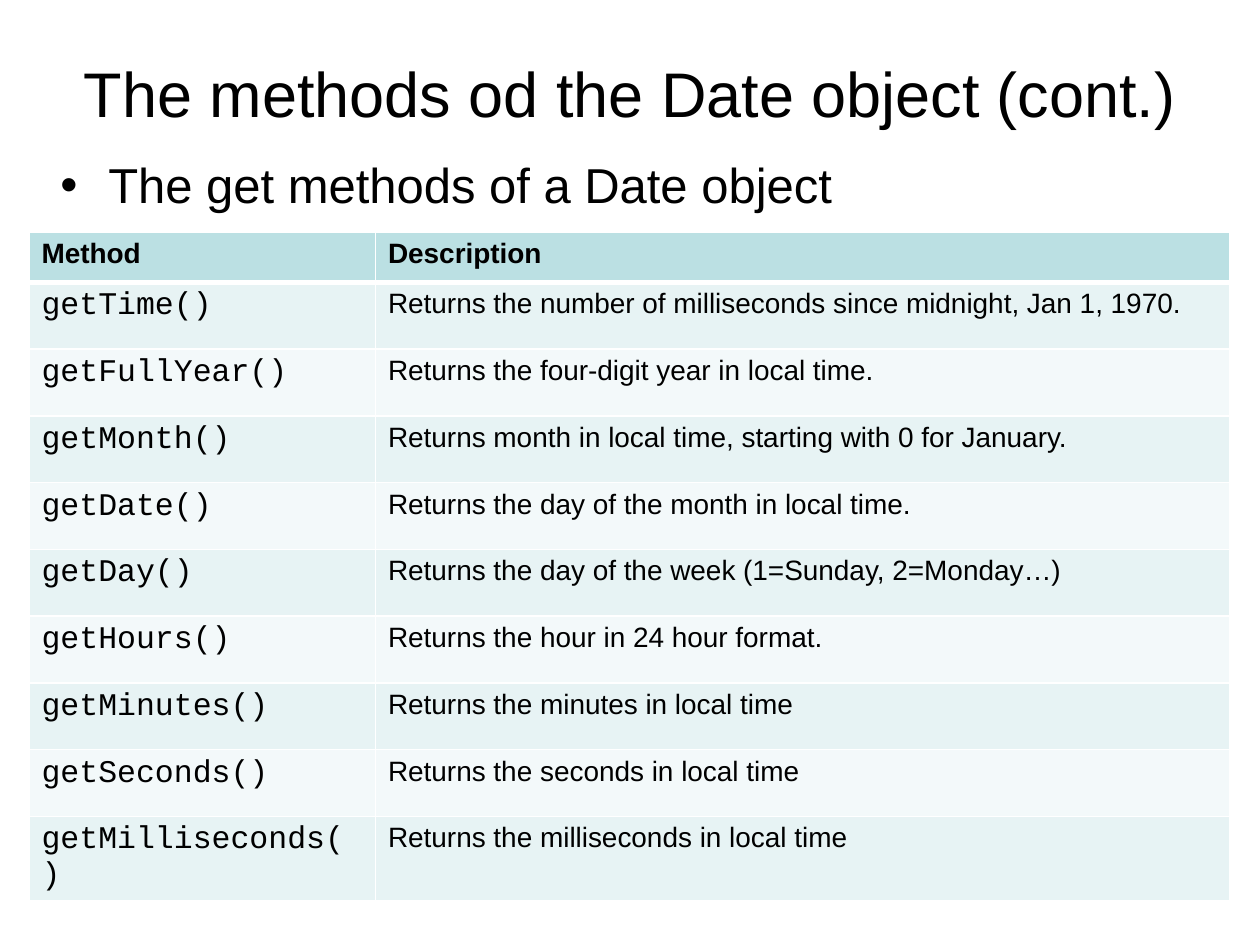
from dataclasses import dataclass

from lxml import etree
from pptx import Presentation
from pptx import util as u
from pptx.dml.color import RGBColor
from pptx.enum import text
from pptx.oxml import ns


@dataclass(frozen=True)
class Theme:
    """Colours, fonts and type sizes of the slide."""
    ink: str = "000000"
    line: str = "FFFFFF"
    head: str = "BBE0E3"
    bands: tuple = ("E7F3F4", "F3F9FA")
    sans: str = "Arial"
    mono: str = "Courier New"
    title: int = 36
    body: int = 28
    cell: int = 16
    code: int = 18


@dataclass(frozen=True)
class Method:
    """One row of the table."""
    name: str
    about: str


THEME = Theme()
METHODS = [
    Method("getTime()", "Returns the number of milliseconds since midnight, Jan 1, 1970."),
    Method("getFullYear()", "Returns the four-digit year in local time."),
    Method("getMonth()", "Returns month in local time, starting with 0 for January."),
    Method("getDate()", "Returns the day of the month in local time."),
    Method("getDay()", "Returns the day of the week (1=Sunday, 2=Monday…)"),
    Method("getHours()", "Returns the hour in 24 hour format."),
    Method("getMinutes()", "Returns the minutes in local time"),
    Method("getSeconds()", "Returns the seconds in local time"),
    Method("getMilliseconds()", "Returns the milliseconds in local time"),
]


def write(frame, words: str, size: int, face: str = THEME.sans, bold: bool = False):
    """Put one formatted run in a text frame and return its paragraph."""
    para = frame.paragraphs[0]
    run = para.add_run()
    run.text = words
    look = {"size": u.Pt(size), "name": face, "bold": bold}
    for key, value in look.items():
        setattr(run.font, key, value)
    run.font.color.rgb = RGBColor.from_string(THEME.ink)
    return para


def place(shape, left: float, top: float, width: float, height: float) -> None:
    """Move and size a shape in inches."""
    box = {"left": left, "top": top, "width": width, "height": height}
    for key, value in box.items():
        setattr(shape, key, u.Inches(value))


def setup(shape, anchor) -> None:
    """Fix wrapping, fitting and anchoring of a placeholder."""
    look = {"word_wrap": True, "auto_size": text.MSO_AUTO_SIZE.NONE,
            "vertical_anchor": anchor}
    for key, value in look.items():
        setattr(shape.text_frame, key, value)


def bullet(para, indent: float) -> None:
    """Give a paragraph a hanging round bullet and space before."""
    props = para._p.get_or_add_pPr()
    props.set("marL", str(u.Inches(indent)))
    props.set("indent", str(-u.Inches(indent)))
    space = etree.SubElement(props, ns.qn("a:spcBef"))
    etree.SubElement(space, ns.qn("a:spcPct"), val="20000")
    etree.SubElement(props, ns.qn("a:buFont"), typeface=THEME.sans)
    etree.SubElement(props, ns.qn("a:buChar"), char="•")


def border(cell, base: float) -> None:
    """Draw the four edges of a cell, with its own base width."""
    props = cell._tc.get_or_add_tcPr()
    widths = {"lnL": 1, "lnR": 1, "lnT": 1, "lnB": base}
    for side, width in widths.items():
        edge = etree.SubElement(props, ns.qn(f"a:{side}"), w=str(u.Pt(width)))
        fill = etree.SubElement(edge, ns.qn("a:solidFill"))
        etree.SubElement(fill, ns.qn("a:srgbClr"), val=THEME.line)


def paint(cell, color: str, base: float = 1) -> None:
    """Border and fill a cell."""
    border(cell, base)
    cell.fill.solid()
    cell.fill.fore_color.rgb = RGBColor.from_string(color)


def grid(slide) -> None:
    """Build the table of methods."""
    cols, head, step = (2.75, 6.78), 0.4, 0.53
    count = len(METHODS)
    box = (0.23, 1.84, sum(cols), head + count * step)
    table = slide.shapes.add_table(count + 1, 2, *map(u.Inches, box)).table
    for col, width in zip(table.columns, cols):
        col.width = u.Inches(width)
    for row, height in zip(table.rows, [head] + [step] * count):
        row.height = u.Inches(height)

    for col, words in enumerate(("Method", "Description")):
        cell = table.cell(0, col)
        paint(cell, THEME.head, base=3)
        write(cell.text_frame, words, THEME.cell, bold=True)
    for row, method in enumerate(METHODS, 1):
        name, about = table.cell(row, 0), table.cell(row, 1)
        for cell in (name, about):
            paint(cell, THEME.bands[(row - 1) % 2], base=1)
            if row == 1:
                top = cell._tc.tcPr.find(ns.qn("a:lnT"))
                top.set("w", str(u.Pt(3)))
        write(name.text_frame, method.name, THEME.code, THEME.mono)
        write(about.text_frame, method.about, THEME.cell)


def main() -> None:
    """Build and save the slide."""
    deck = Presentation()
    deck.slide_width, deck.slide_height = u.Inches(10), u.Inches(7.5)
    slide = deck.slides.add_slide(deck.slide_layouts[1])
    title, body = slide.shapes.title, slide.placeholders[1]

    place(title, 0.5, 0.3, 9, 0.87)
    setup(title, text.MSO_ANCHOR.MIDDLE)
    para = write(title.text_frame, "The methods od the Date object (cont.)", THEME.title)
    para.alignment = text.PP_ALIGN.CENTER

    place(body, 0.38, 1.18, 9.5, 5.58)
    setup(body, text.MSO_ANCHOR.TOP)
    para = write(body.text_frame, "The get methods of a Date object", THEME.body)
    bullet(para, 0.38)

    grid(slide)
    deck.save("out.pptx")


main()
